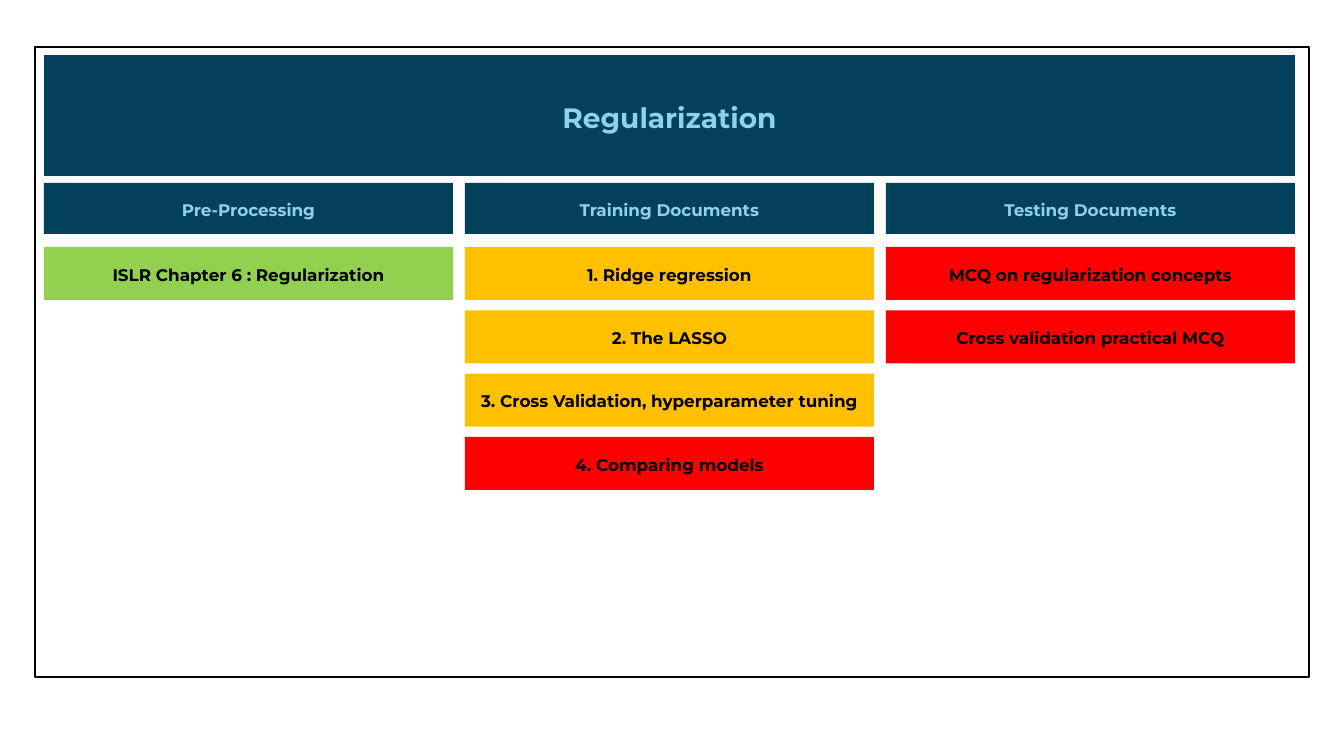
"""Build the Regularization course overview slide."""
from dataclasses import dataclass

from pptx import Presentation
from pptx.dml.color import RGBColor
from pptx.enum.shapes import MSO_SHAPE as Shape
from pptx.enum.text import MSO_ANCHOR as Anchor, PP_ALIGN as Align
from pptx.util import Emu, Pt

TITLE = "Regularization"
COLUMNS = [
    ("Pre-Processing", [("ISLR Chapter 6 : Regularization", "green")]),
    ("Training Documents", [
        ("1. Ridge regression", "amber"),
        ("2. The LASSO", "amber"),
        ("3. Cross Validation, hyperparameter tuning", "amber"),
        ("4. Comparing models", "red"),
    ]),
    ("Testing Documents", [
        ("MCQ on regularization concepts", "red"),
        ("Cross validation practical MCQ", "red"),
    ]),
]


@dataclass(frozen=True)
class Theme:
    font: str = "Montserrat"
    title_size: int = 20
    body_size: int = 12
    white: str = "FFFFFF"
    black: str = "000000"
    navy: str = "03405A"
    sky: str = "90D1ED"
    green: str = "92D050"
    amber: str = "FFC000"
    red: str = "FF0000"


THEME = Theme()
SLIDE_WIDTH, SLIDE_HEIGHT = 1344, 756
EMU_PER_PX = 12192000 / SLIDE_WIDTH
FRAME = (35, 47, 1274, 630)
LEFT, COLUMN_WIDTH, COLUMN_GAP = 44, 409, 12
TITLE_TOP, TITLE_HEIGHT = 55, 121
HEADING_TOP, HEADING_HEIGHT = 183, 51
FIRST_ROW_TOP, LAST_ROW_TOP, ROW_HEIGHT = 247, 437, 53
TEXT_INSET = 4


def px(length):
    return Emu(round(length * EMU_PER_PX))


def color(value):
    return RGBColor.from_string(value)


def add_box(slide, bounds, fill):
    shape = slide.shapes.add_shape(Shape.RECTANGLE, *map(px, bounds))
    shape.shadow.inherit = False
    shape.fill.solid()
    shape.fill.fore_color.rgb = color(fill)
    shape.line.fill.background()
    return shape


def add_label(slide, bounds, fill, text, text_color, size=THEME.body_size):
    frame = add_box(slide, bounds, fill).text_frame
    frame.word_wrap = True
    frame.vertical_anchor = Anchor.MIDDLE
    frame.margin_left = frame.margin_right = px(TEXT_INSET)
    frame.margin_top = frame.margin_bottom = px(TEXT_INSET)
    frame.text = text
    paragraph = frame.paragraphs[0]
    paragraph.alignment = Align.CENTER
    paragraph.line_spacing = 1.1
    paragraph.space_before = paragraph.space_after = Pt(1)
    font = paragraph.runs[0].font
    font.name, font.size, font.bold = THEME.font, Pt(size), True
    font.color.rgb = color(text_color)


def main():
    presentation = Presentation()
    presentation.slide_width = px(SLIDE_WIDTH)
    presentation.slide_height = px(SLIDE_HEIGHT)
    slide = presentation.slides.add_slide(presentation.slide_layouts[6])

    border = add_box(slide, FRAME, THEME.white).line
    border.color.rgb = color(THEME.black)
    border.width = Pt(1.5)

    column_step = COLUMN_WIDTH + COLUMN_GAP
    title_width = len(COLUMNS) * column_step - COLUMN_GAP
    add_label(slide, (LEFT, TITLE_TOP, title_width, TITLE_HEIGHT),
              THEME.navy, TITLE, THEME.sky, THEME.title_size)

    most_rows = max(len(documents) for _, documents in COLUMNS)
    row_step = (LAST_ROW_TOP - FIRST_ROW_TOP) / (most_rows - 1)
    for column, (heading, documents) in enumerate(COLUMNS):
        left = LEFT + column * column_step
        add_label(slide, (left, HEADING_TOP, COLUMN_WIDTH, HEADING_HEIGHT),
                  THEME.navy, heading, THEME.sky)
        for row, (document, status) in enumerate(documents):
            top = FIRST_ROW_TOP + row * row_step
            add_label(slide, (left, top, COLUMN_WIDTH, ROW_HEIGHT),
                      getattr(THEME, status), document, THEME.black)

    presentation.save("out.pptx")


if __name__ == "__main__":
    main()
